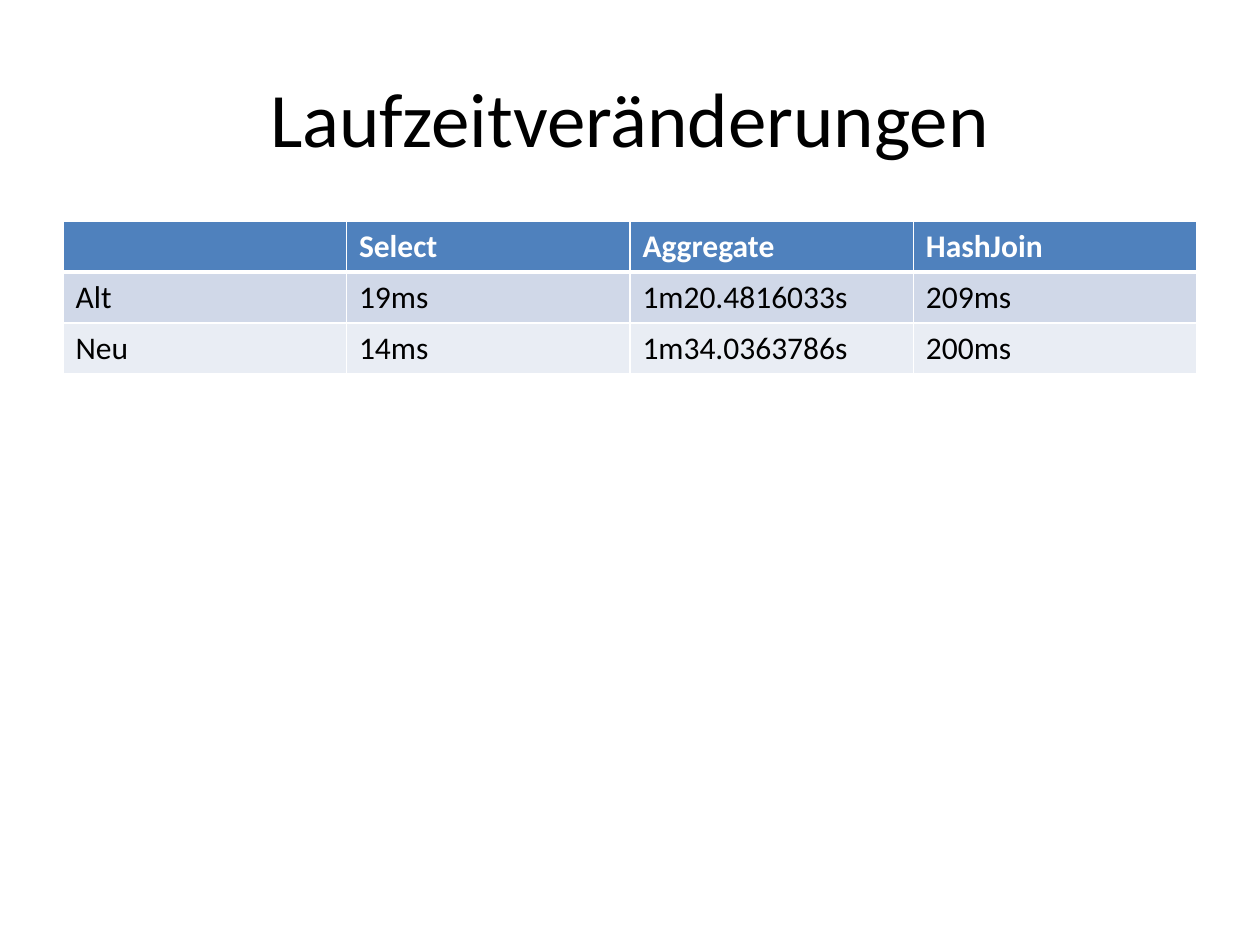
from lxml.etree import SubElement
from pptx import Presentation
from pptx.dml.color import RGBColor
from pptx.enum.text import MSO_ANCHOR as Anchor, PP_ALIGN as Align
from pptx.oxml.ns import qn
from pptx.util import Pt

PX = 914400 // 126
FONT = "Calibri"
BLACK = RGBColor(0x00, 0x00, 0x00)
WHITE = RGBColor(0xFF, 0xFF, 0xFF)
HEADER = RGBColor(0x4F, 0x81, 0xBD)
BANDS = [RGBColor(0xD0, 0xD8, 0xE8), RGBColor(0xE9, 0xED, 0xF4)]

RUNTIMES = [
    ["", "Select", "Aggregate", "HashJoin"],
    ["Alt", "19ms", "1m20.4816033s", "209ms"],
    ["Neu", "14ms", "1m34.0363786s", "200ms"],
]


def style_text(p, size, color, bold=False):
    """Set the font of a paragraph."""
    font = p.font
    font.name, font.size, font.bold = FONT, Pt(size), bold
    font.color.rgb = color


def add_title(s, box, text):
    """Place the centred title in the box."""
    tf = s.shapes.add_textbox(*(v * PX for v in box)).text_frame
    tf.word_wrap = True
    tf.vertical_anchor = Anchor.MIDDLE
    p = tf.paragraphs[0]
    p.text = text
    p.alignment = Align.CENTER
    style_text(p, 44, BLACK)


def add_borders(cell, widths):
    """Draw white cell borders; widths are points for left, right, top, bottom."""
    tc_pr = cell._tc.get_or_add_tcPr()
    for side, width in zip("LRTB", widths):
        ln = SubElement(tc_pr, qn(f"a:ln{side}"), w=str(Pt(width)))
        fill = SubElement(ln, qn("a:solidFill"))
        SubElement(fill, qn("a:srgbClr"), val=str(WHITE))


def add_runtime_table(s, box, rows):
    """Fill the box with a table: a header row, then banded rows."""
    frame = s.shapes.add_table(len(rows), len(rows[0]), *(v * PX for v in box))
    table = frame.table
    for i, row in enumerate(rows):
        header = i == 0
        for j, text in enumerate(row):
            cell = table.cell(i, j)
            add_borders(cell, (1, 1, 3 if i == 1 else 1, 3 if header else 1))
            cell.fill.solid()
            cell.fill.fore_color.rgb = HEADER if header else BANDS[(i - 1) % 2]
            cell.text = text
            style_text(cell.text_frame.paragraphs[0], 18,
                       WHITE if header else BLACK, header)


prs = Presentation()
prs.slide_width, prs.slide_height = 1260 * PX, 945 * PX
s = prs.slides.add_slide(prs.slide_layouts[6])
add_title(s, (63, 38, 1134, 158), "Laufzeitveränderungen")
add_runtime_table(s, (63, 221, 1134, 153), RUNTIMES)
prs.save("out.pptx")
